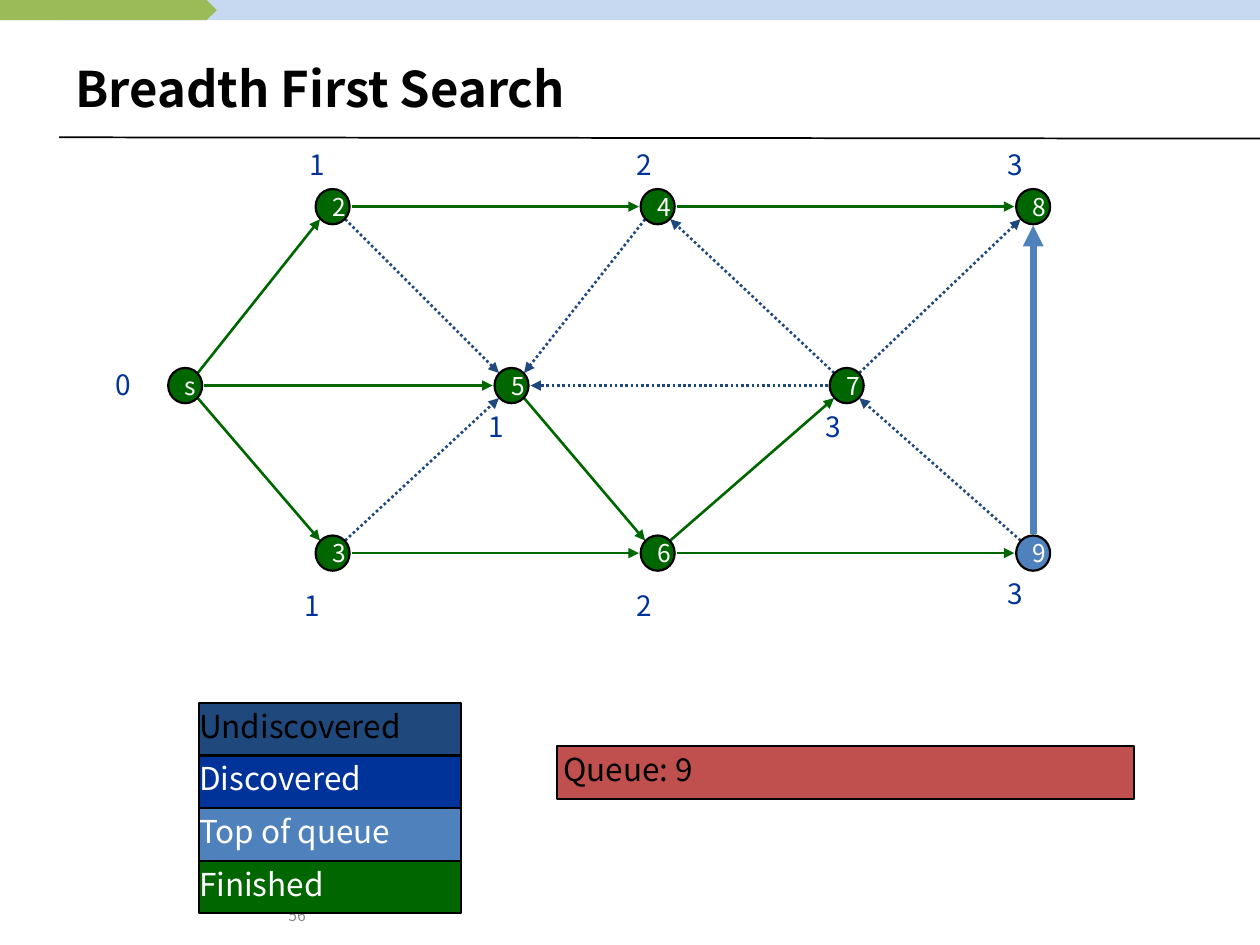
from lxml import etree
from pptx import Presentation
from pptx.dml.color import RGBColor
from pptx.enum.dml import MSO_LINE
from pptx.enum.shapes import MSO_CONNECTOR, MSO_SHAPE
from pptx.enum.text import MSO_ANCHOR, PP_ALIGN
from pptx.oxml.ns import qn
from pptx.util import Inches, Pt

FONT = "Noto Sans CJK KR"
BLACK = RGBColor(0x00, 0x00, 0x00)
WHITE = RGBColor(0xFF, 0xFF, 0xFF)
GRAY = RGBColor(0x8C, 0x8C, 0x8C)
PALE_BLUE = RGBColor(0xC6, 0xD9, 0xF1)
LIME = RGBColor(0x9B, 0xBB, 0x59)
GREEN = RGBColor(0x00, 0x66, 0x00)
NAVY = RGBColor(0x1F, 0x49, 0x7D)
ROYAL = RGBColor(0x00, 0x33, 0x99)
BLUE = RGBColor(0x4F, 0x81, 0xBD)
RED = RGBColor(0xC0, 0x50, 0x4D)

NODE_WIDTH, NODE_HEIGHT = 0.27, 0.28
STRAIGHT_GAP, DIAGONAL_GAP = 0.15, 0.1
TOP, MIDDLE, BOTTOM = 1.64, 3.06, 4.39

# name: (centre x, centre y, fill, level, level left, level top)
NODES = {
    "s": (1.47, MIDDLE, GREEN, "0", 0.92, 2.92),
    "2": (2.64, TOP, GREEN, "1", 2.46, 1.17),
    "3": (2.64, BOTTOM, GREEN, "1", 2.42, 4.67),
    "5": (4.06, MIDDLE, GREEN, "1", 3.88, 3.25),
    "4": (5.22, TOP, GREEN, "2", 5.05, 1.17),
    "6": (5.22, BOTTOM, GREEN, "2", 5.05, 4.67),
    "7": (6.72, MIDDLE, GREEN, "3", 6.55, 3.25),
    "8": (8.2, TOP, GREEN, "3", 8, 1.17),
    "9": (8.2, BOTTOM, BLUE, "3", 8, 4.58),
}
TREE_EDGES = ["s2", "s5", "s3", "24", "48", "36", "69", "56", "67"]
OTHER_EDGES = ["25", "35", "45", "74", "75", "78", "97"]
LEGEND = [
    ("Undiscovered", NAVY, BLACK),
    ("Discovered", ROYAL, WHITE),
    ("Top of queue", BLUE, WHITE),
    ("Finished", GREEN, WHITE),
]


def write_text(shape, text, size=18, color=BLACK, bold=False, wrap=True,
               anchor=MSO_ANCHOR.TOP, insets=(0, 0, 0, 0)):
    """Insets are left, top, right and bottom in inches."""
    frame = shape.text_frame
    frame.word_wrap = wrap
    frame.vertical_anchor = anchor
    (frame.margin_left, frame.margin_top,
     frame.margin_right, frame.margin_bottom) = map(Inches, insets)
    para = frame.paragraphs[0]
    para.alignment = PP_ALIGN.LEFT
    span = para.add_run()
    span.text = text
    span.font.name = FONT
    span.font.size = Pt(size)
    span.font.bold = bold
    span.font.color.rgb = color


def add_text(slide, text, left, top, width, height, **text_format):
    box = slide.shapes.add_textbox(*map(Inches, (left, top, width, height)))
    write_text(box, text, **text_format)


def add_block(slide, kind, left, top, width, height, fill, outlined=True):
    block = slide.shapes.add_shape(kind, *map(Inches, (left, top, width, height)))
    block.shadow.inherit = False
    block.fill.solid()
    block.fill.fore_color.rgb = fill
    if outlined:
        block.line.color.rgb = BLACK
        block.line.width = Pt(1.25)
    else:
        block.line.fill.background()
    return block


def add_line(slide, start, end, color, width, dotted=False, arrow=False):
    line = slide.shapes.add_connector(
        MSO_CONNECTOR.STRAIGHT, *map(Inches, (*start, *end)))
    line.line.color.rgb = color
    line.line.width = Pt(width)
    if dotted:
        line.line.dash_style = MSO_LINE.ROUND_DOT
    if arrow:
        outline = line.line._get_or_add_ln()
        etree.SubElement(outline, qn("a:tailEnd"), type="triangle")
    etree.SubElement(line._element.spPr, qn("a:effectLst"))


def add_edge(slide, edge, color, width=1.5, dotted=False):
    """Joins the rims of two nodes, named by the two letters of the edge."""
    (x1, y1), (x2, y2) = (NODES[name][:2] for name in edge)
    step_x = (x2 > x1) - (x2 < x1)
    step_y = (y2 > y1) - (y2 < y1)
    gap = DIAGONAL_GAP if step_x and step_y else STRAIGHT_GAP
    start = (x1 + gap * step_x, y1 + gap * step_y)
    end = (x2 - gap * step_x, y2 - gap * step_y)
    add_line(slide, start, end, color, width, dotted, arrow=True)


def add_node(slide, name):
    x, y, fill, level, level_left, level_top = NODES[name]
    node = add_block(slide, MSO_SHAPE.OVAL, x - NODE_WIDTH / 2,
                     y - NODE_HEIGHT / 2, NODE_WIDTH, NODE_HEIGHT, fill)
    write_text(node, name, size=14, color=WHITE, wrap=False,
               anchor=MSO_ANCHOR.MIDDLE, insets=(0.1, 0.05, 0.1, 0.05))
    add_text(slide, level, level_left, level_top, 0.37, 0.27,
             size=16, color=ROYAL)


def add_frame(slide):
    add_block(slide, MSO_SHAPE.RECTANGLE, 0.47, 0, 9.53, 0.16, PALE_BLUE,
              outlined=False)
    add_block(slide, MSO_SHAPE.PENTAGON, 0, 0, 1.72, 0.16, LIME, outlined=False)
    add_line(slide, (0.47, 1.09), (10, 1.1), BLACK, 1)
    add_text(slide, "56", 2.19, 7.11, 1.09, 0.31, size=9, color=GRAY,
             anchor=MSO_ANCHOR.MIDDLE, insets=(0.1, 0.05, 0.1, 0.05))
    add_text(slide, "Breadth First Search", 0.5, 0.3, 9, 0.79, size=28,
             bold=True, anchor=MSO_ANCHOR.MIDDLE, insets=(0.1, 0.05, 0.1, 0.05))


def add_graph(slide):
    for edge in TREE_EDGES:
        add_edge(slide, edge, GREEN)
    for edge in OTHER_EDGES:
        add_edge(slide, edge, NAVY, dotted=True)
    for name in NODES:
        add_node(slide, name)
    add_edge(slide, "98", BLUE, width=4)


def add_legend(slide):
    height = 1.67 / len(LEGEND)
    for row, (text, fill, color) in enumerate(LEGEND):
        entry = add_block(slide, MSO_SHAPE.RECTANGLE, 1.58, 5.58 + row * height,
                          2.08, height, fill)
        write_text(entry, text, color=color, insets=(0, 0.03, 0, 0))


def add_queue(slide):
    queue = add_block(slide, MSO_SHAPE.RECTANGLE, 4.42, 5.92, 4.58, 0.42, RED)
    write_text(queue, "Queue: 9", insets=(0.05, 0.03, 0, 0))


def main():
    deck = Presentation()
    deck.slide_width, deck.slide_height = Inches(10), Inches(7.5)
    slide = deck.slides.add_slide(deck.slide_layouts[6])
    add_frame(slide)
    add_graph(slide)
    add_legend(slide)
    add_queue(slide)
    deck.save("out.pptx")


if __name__ == "__main__":
    main()
